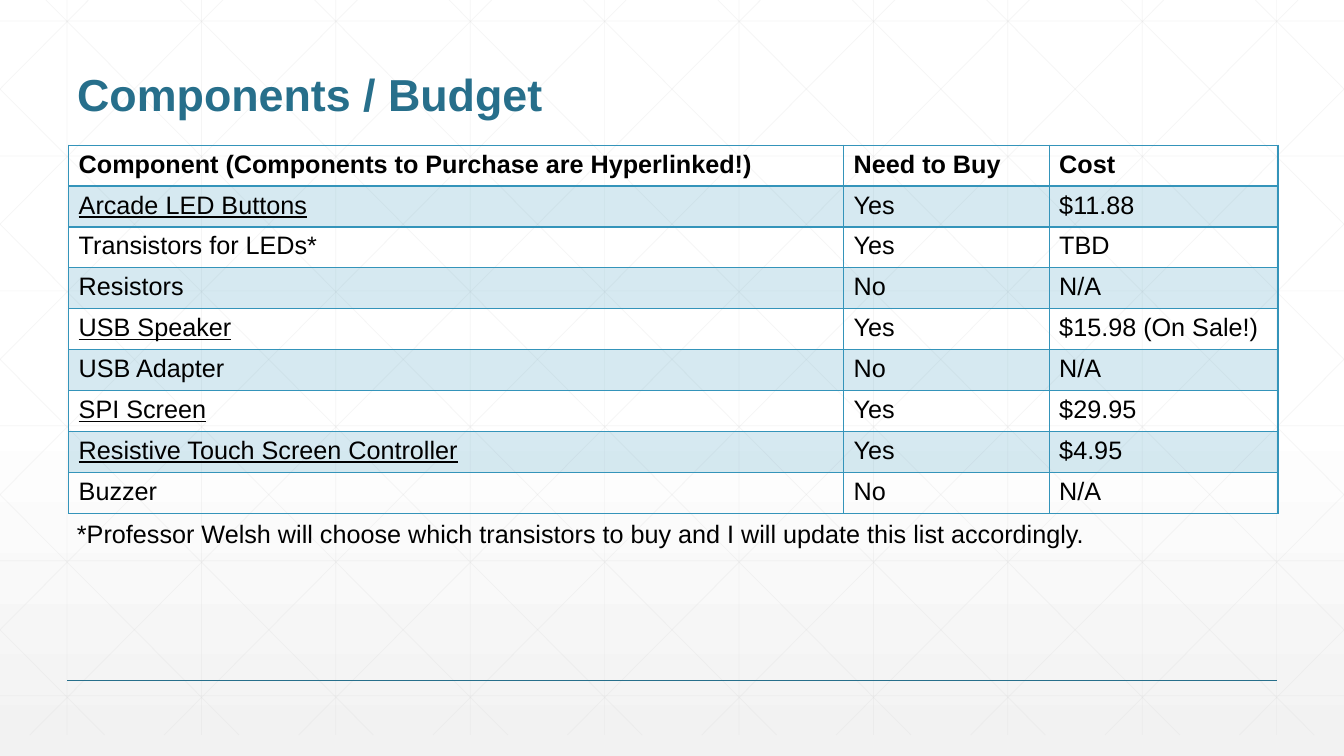
from lxml import etree
from pptx import Presentation
from pptx.dml.color import RGBColor
from pptx.enum.shapes import MSO_CONNECTOR
from pptx.enum.text import MSO_ANCHOR, MSO_AUTO_SIZE, PP_ALIGN
from pptx.oxml.ns import qn
from pptx.util import Cm, Pt

STRAIGHT = MSO_CONNECTOR.STRAIGHT
BOTTOM = MSO_ANCHOR.BOTTOM
NO_AUTOFIT = MSO_AUTO_SIZE.NONE
LEFT = PP_ALIGN.LEFT

WHITE = RGBColor(0xFF, 0xFF, 0xFF)
PALE_GREY = RGBColor(0xF2, 0xF2, 0xF2)
GRID_GREY = RGBColor(0xD9, 0xD9, 0xD9)
BLACK = RGBColor(0, 0, 0)
DARK_TEAL = RGBColor(0x27, 0x6F, 0x8B)
TEAL = RGBColor(0x34, 0x94, 0xBA)
FONT = "Arial"

# Content
TITLE = "Components / Budget"
HEADER = ("Component (Components to Purchase are Hyperlinked!)", "Need to Buy", "Cost")
COMPONENTS = [
    ("Arcade LED Buttons", "Yes", "$11.88"),
    ("Transistors for LEDs*", "Yes", "TBD"),
    ("Resistors", "No", "N/A"),
    ("USB Speaker", "Yes", "$15.98 (On Sale!)"),
    ("USB Adapter", "No", "N/A"),
    ("SPI Screen", "Yes", "$29.95"),
    ("Resistive Touch Screen Controller", "Yes", "$4.95"),
    ("Buzzer", "No", "N/A"),
]
UNDERLINED = {"Arcade LED Buttons", "USB Speaker", "SPI Screen",
              "Resistive Touch Screen Controller"}
NOTE = ("*Professor Welsh will choose which transistors to buy "
        "and I will update this list accordingly.")

# Layout in centimetres
WIDTH, HEIGHT = 33.87, 19.05
MARGIN, CONTENT_WIDTH = 1.69, 30.48
TABLE_LEFT, TABLE_TOP, ROW_HEIGHT = 1.73, 3.66, 1.03
COLUMN_WIDTHS = (19.53, 5.18, 5.77)
GRID_STEP, GRID_BOTTOM = WIDTH / 10, 18.52
ROW_START, ROW_STEP = 0.53, 3.4
DIAGONAL_START, DIAGONAL_TOP = 0.63, -0.53
SLOPE = 19.05 / 18.94

presentation = Presentation()
presentation.slide_width, presentation.slide_height = Cm(WIDTH), Cm(HEIGHT)
slide = presentation.slides.add_slide(presentation.slide_layouts[5])


def set_alpha(parent, percent):
    for color in parent.iter(qn("a:srgbClr")):
        etree.SubElement(color, qn("a:alpha"), val=str(percent * 1000))


def add_line(x1, y1, x2, y2, color, width, alpha=None):
    line = slide.shapes.add_connector(STRAIGHT, Cm(x1), Cm(y1), Cm(x2), Cm(y2))
    line.line.color.rgb = color
    line.line.width = Pt(width)
    properties = line.element.spPr
    if alpha:
        set_alpha(properties, alpha)
    etree.SubElement(properties, qn("a:effectLst"))


def add_grid_line(x1, y1, x2, y2):
    add_line(x1, y1, x2, y2, GRID_GREY, 0.5, 25)


def write(frame, text, size, color, bold=False, underline=False):
    paragraph = frame.paragraphs[0]
    paragraph.alignment = LEFT
    run = paragraph.add_run()
    run.text = text
    font = run.font
    font.name, font.size, font.bold, font.underline = FONT, Pt(size), bold, underline
    font.color.rgb = color
    return paragraph


def set_border(cell, side, width):
    border = etree.SubElement(cell._tc.get_or_add_tcPr(), qn("a:ln" + side),
                              w=str(Pt(width)))
    fill = etree.SubElement(border, qn("a:solidFill"))
    etree.SubElement(fill, qn("a:srgbClr"), val=str(TEAL))


# Background
background = slide.background.fill
background.gradient()
background.gradient_angle = 270
for stop, position, color in zip(background.gradient_stops, (0.53, 1), (WHITE, PALE_GREY)):
    stop.position = position
    stop.color.rgb = color

# Grid: verticals, horizontals, then mirrored diagonals cut at the edges
for index in range(10):
    x = MARGIN + index * GRID_STEP
    add_grid_line(x, 0, x, GRID_BOTTOM)
for index in range(6):
    y = ROW_START + index * ROW_STEP
    add_grid_line(0, y, WIDTH, y)
for index in range(-5, 10):
    start = DIAGONAL_START + index * GRID_STEP
    y1 = max(0, DIAGONAL_TOP - start * SLOPE)
    y2 = min(GRID_BOTTOM, DIAGONAL_TOP + (WIDTH - start) * SLOPE)
    x1, x2 = (start + (y - DIAGONAL_TOP) / SLOPE for y in (y1, y2))
    add_grid_line(x1, y1, x2, y2)
    add_grid_line(WIDTH - x1, y1, WIDTH - x2, y2)

# Footer rule
add_line(MARGIN, 17.15, MARGIN + CONTENT_WIDTH, 17.15, DARK_TEAL, 1)

# Title, raised above the grid
title = slide.shapes.title
title.element.getparent().append(title.element)
title.left, title.top = Cm(MARGIN), Cm(0.64)
title.width, title.height = Cm(CONTENT_WIDTH), Cm(2.54)
title.text_frame.auto_size = NO_AUTOFIT
title.text_frame.vertical_anchor = BOTTOM
write(title.text_frame, TITLE, 32, DARK_TEAL, bold=True).line_spacing = 0.9

# Component table
rows = [HEADER] + COMPONENTS
table_height = ROW_HEIGHT * len(rows)
table = slide.shapes.add_table(
    len(rows), len(HEADER), Cm(TABLE_LEFT), Cm(TABLE_TOP),
    Cm(CONTENT_WIDTH), Cm(table_height)).table
table.first_row = table.horz_banding = False
for column, width in zip(table.columns, COLUMN_WIDTHS):
    column.width = Cm(width)
for row_index, values in enumerate(rows):
    table.rows[row_index].height = Cm(ROW_HEIGHT)
    for column_index, value in enumerate(values):
        cell = table.cell(row_index, column_index)
        write(cell.text_frame, value, 18, BLACK, row_index == 0, value in UNDERLINED)
        for side in "LRTB":
            below_header = (row_index, side) in ((0, "B"), (1, "T"))
            set_border(cell, side, 2 if below_header else 1)
        if row_index % 2:
            cell.fill.solid()
            cell.fill.fore_color.rgb = TEAL
            set_alpha(cell._tc.tcPr.find(qn("a:solidFill")), 20)
        else:
            cell.fill.background()

# Note under the table
note = slide.shapes.add_textbox(Cm(MARGIN), Cm(TABLE_TOP + table_height),
                                Cm(26.31), Cm(1.03))
note.text_frame.word_wrap = True
write(note.text_frame, NOTE, 18, BLACK)

presentation.save("out.pptx")
